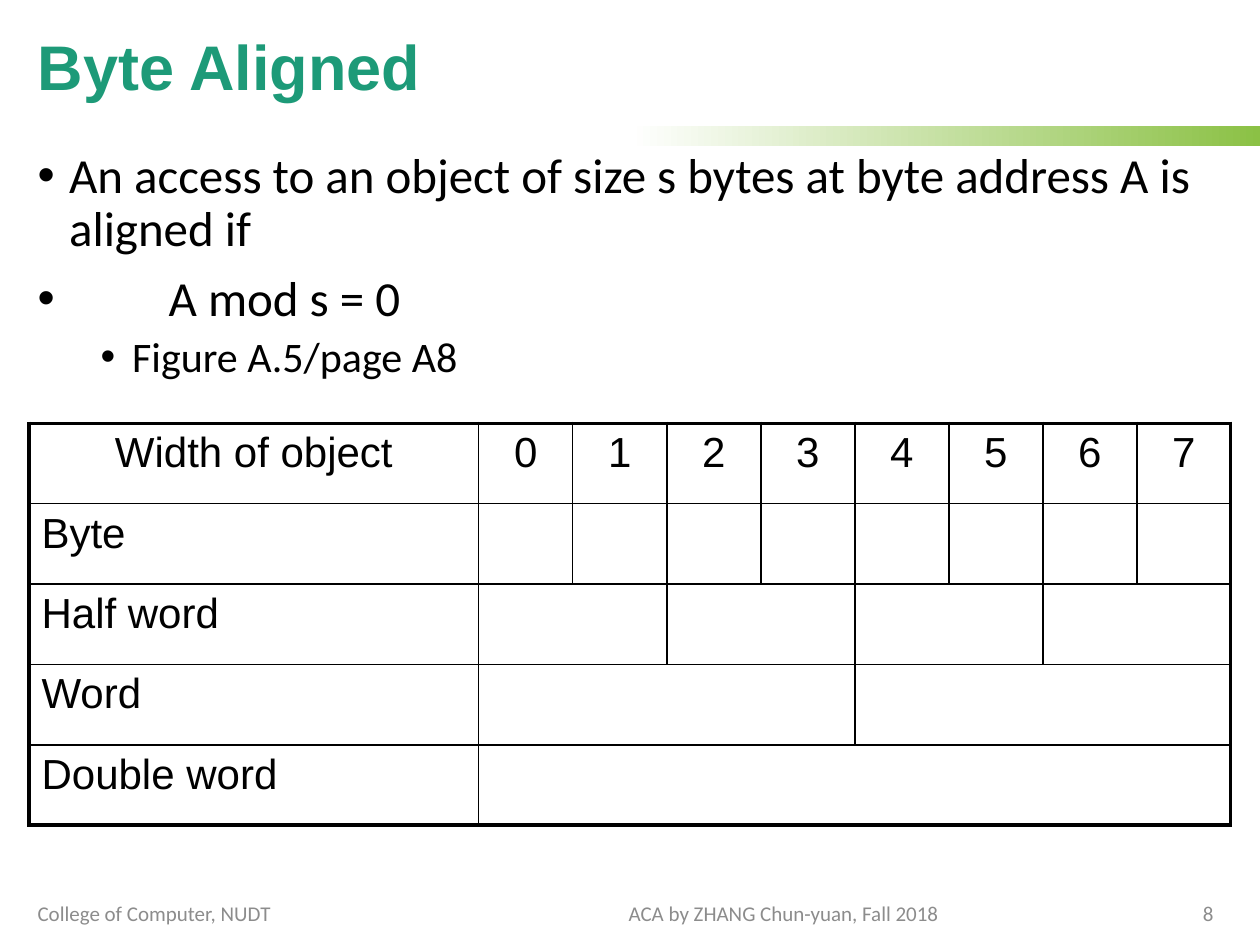
from lxml.etree import SubElement
from pptx import Presentation
from pptx.dml.color import RGBColor
from pptx.enum.shapes import MSO_SHAPE as Shape
from pptx.enum.text import MSO_ANCHOR as Anchor, PP_ALIGN as Align
from pptx.oxml.ns import qn
from pptx.util import Inches, Pt

COLUMNS, ROWS = 100, 75  # slide grid
BLACK, GRAY, GREEN, LIME, WHITE = "000000", "8C8C8C", "1D9A78", "8BC145", "FFFFFF"
THIN, THICK = 1, 2.25  # table rules


def color(code):
    return RGBColor.from_string(code)


class Deck:
    heading_font, body_font = "Arial", "Calibri"

    def __init__(self):
        self.prs = Presentation()
        self.prs.slide_width, self.prs.slide_height = Inches(10), Inches(7.5)
        self.slide = self.prs.slides.add_slide(self.prs.slide_layouts[6])

    def x(self, columns):
        return round(self.prs.slide_width * columns / COLUMNS)

    def y(self, rows):
        return round(self.prs.slide_height * rows / ROWS)

    def place(self, left, top, width, height):
        return self.x(left), self.y(top), self.x(width), self.y(height)

    def style(self, paragraph, font, size, code, bold=False):
        paragraph.font.name, paragraph.font.size = font, Pt(size)
        paragraph.font.bold = bold
        paragraph.font.color.rgb = color(code)

    def band(self, area, start, end):
        bar = self.slide.shapes.add_shape(Shape.RECTANGLE, *self.place(*area))
        bar.shadow.inherit = False
        bar.line.fill.background()
        bar.fill.gradient()
        bar.fill.gradient_angle = 0
        for stop, code in zip(bar.fill.gradient_stops, (start, end)):
            stop.color.rgb = color(code)

    def frame(self, area, anchor):
        frame = self.slide.shapes.add_textbox(*self.place(*area)).text_frame
        frame.word_wrap, frame.vertical_anchor = True, anchor
        return frame

    def label(self, area, text, font, size, code, bold=False, align=Align.LEFT):
        paragraph = self.frame(area, Anchor.MIDDLE).paragraphs[0]
        paragraph.text, paragraph.alignment = text, align
        paragraph.line_spacing = 0.9 if bold else 1.0
        self.style(paragraph, font, size, code, bold)

    def bullets(self, area, items):
        frame = self.frame(area, Anchor.TOP)
        for i, (text, level, size, before, margin, hanging) in enumerate(items):
            paragraph = frame.add_paragraph() if i else frame.paragraphs[0]
            paragraph.text, paragraph.level = text, level
            paragraph.line_spacing, paragraph.space_before = 0.9, Pt(before)
            props = paragraph._p.get_or_add_pPr()
            props.set("marL", str(self.x(margin)))
            props.set("indent", str(-self.x(hanging)))
            SubElement(props, qn("a:buFont"), typeface="Arial")
            SubElement(props, qn("a:buChar"), char="•")
            self.style(paragraph, self.body_font, size, BLACK)

    def borders(self, cell, widths):
        props = cell._tc.get_or_add_tcPr()
        for position, (side, width) in enumerate(zip("LRTB", widths)):
            line = SubElement(props, qn(f"a:ln{side}"), w=str(Pt(width)))
            props.insert(position, line)
            if width:
                fill = SubElement(line, qn("a:solidFill"))
                SubElement(fill, qn("a:srgbClr"), val=BLACK)
            else:
                SubElement(line, qn("a:noFill"))

    def alignment_table(self, area, name_width, header, objects):
        """Draw one box per aligned object; objects are (name, bytes)."""
        byte_count = len(header) - 1
        lines = [(header, 1)] + [([name], size) for name, size in objects]
        table = self.slide.shapes.add_table(
            len(lines), len(header), *self.place(*area)).table
        table.first_row = table.horz_banding = False
        for i, column in enumerate(table.columns):
            column.width = self.x((area[2] - name_width) / byte_count if i else name_width)
        last_row = len(lines) - 1
        for r, (texts, size) in enumerate(lines):
            table.rows[r].height = self.y(area[3] / len(lines))
            for c in range(len(header)):
                cell = table.cell(r, c)
                cell.fill.background()
                left = THIN if (c - 1) % size == 0 else 0
                right = THIN if c % size == 0 else 0
                self.borders(cell, (THICK if c == 0 else left,
                                    THICK if c == byte_count else right,
                                    THICK if r == 0 else THIN,
                                    THICK if r == last_row else THIN))
                if c < len(texts):
                    paragraph = cell.text_frame.paragraphs[0]
                    paragraph.text = texts[c]
                    paragraph.alignment = Align.LEFT if r else Align.CENTER
                    self.style(paragraph, self.heading_font, 24, BLACK)


def main():
    deck = Deck()

    # Heading
    deck.band((50, 10, 50, 1.6), WHITE, LIME)
    deck.label((2, 1.3, 96.1, 8.6), "Byte Aligned", deck.heading_font, 36, GREEN, bold=True)

    # Rule: text, level, size, space before, margin, hanging indent
    deck.bullets((2, 11.5, 96.1, 29.1), [
        ("An access to an object of size s bytes at byte address A is aligned if",
         0, 28, 10, 2.5, 2.5),
        ("A mod s = 0", 0, 28, 10, 10.4, 10.4),
        ("Figure A.5/page A8", 1, 24, 5, 7.5, 2.5),
    ])

    # Aligned positions of each object width
    deck.alignment_table(
        (2.3, 33.6, 95.4, 31.9), 35.7,
        ["Width of object"] + [str(byte) for byte in range(8)],
        [("Byte", 1), ("Half word", 2), ("Word", 4), ("Double word", 8)])

    # Footer
    for left, width, text, align in (
            (2, 37.7, "College of Computer, NUDT", Align.LEFT),
            (39.7, 45, "ACA by ZHANG Chun-yuan, Fall 2018", Align.CENTER),
            (87, 10.3, "8", Align.RIGHT)):
        deck.label((left, 71.4, width, 2.1), text, deck.body_font, 12, GRAY, align=align)

    deck.prs.save("out.pptx")


if __name__ == "__main__":
    main()
